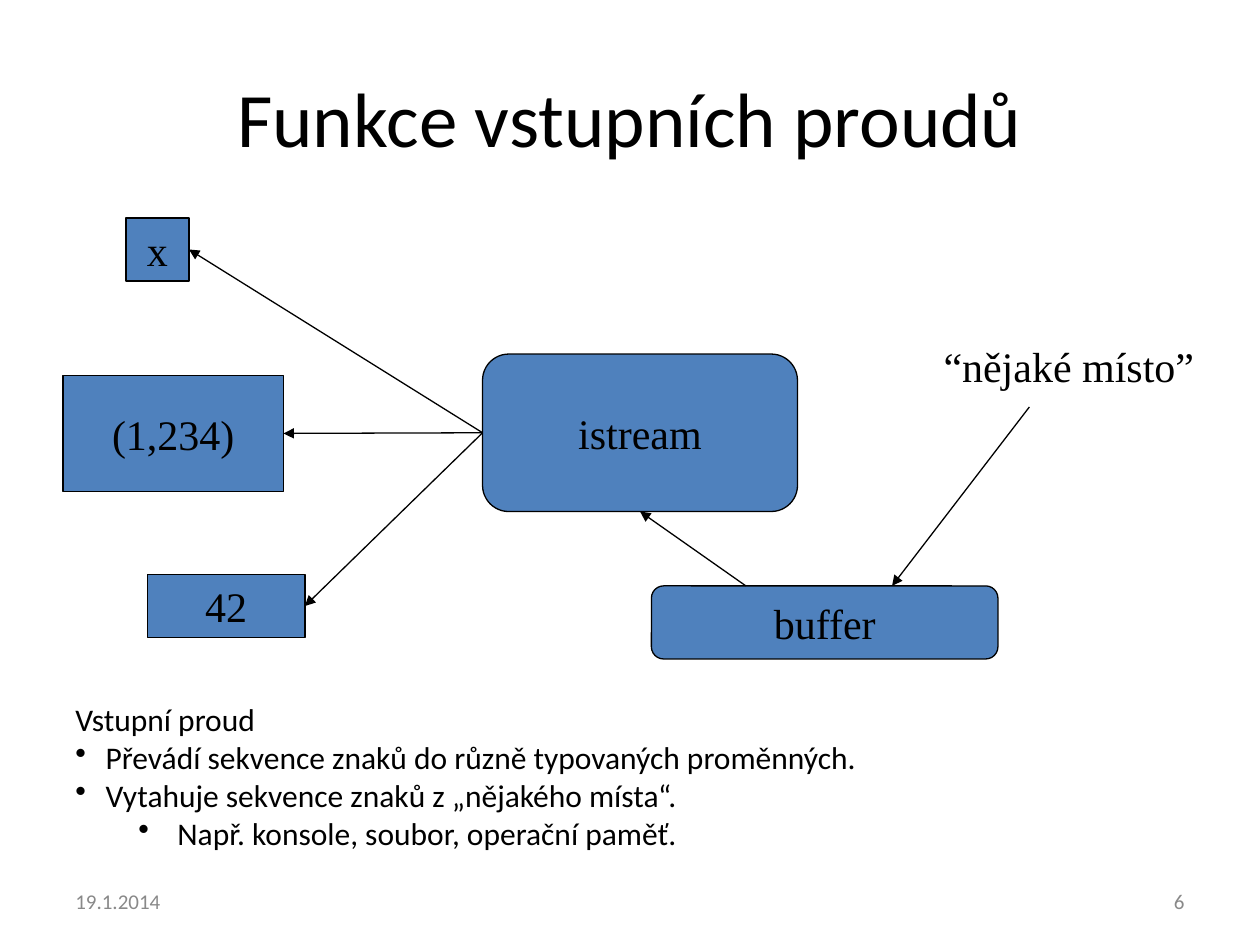
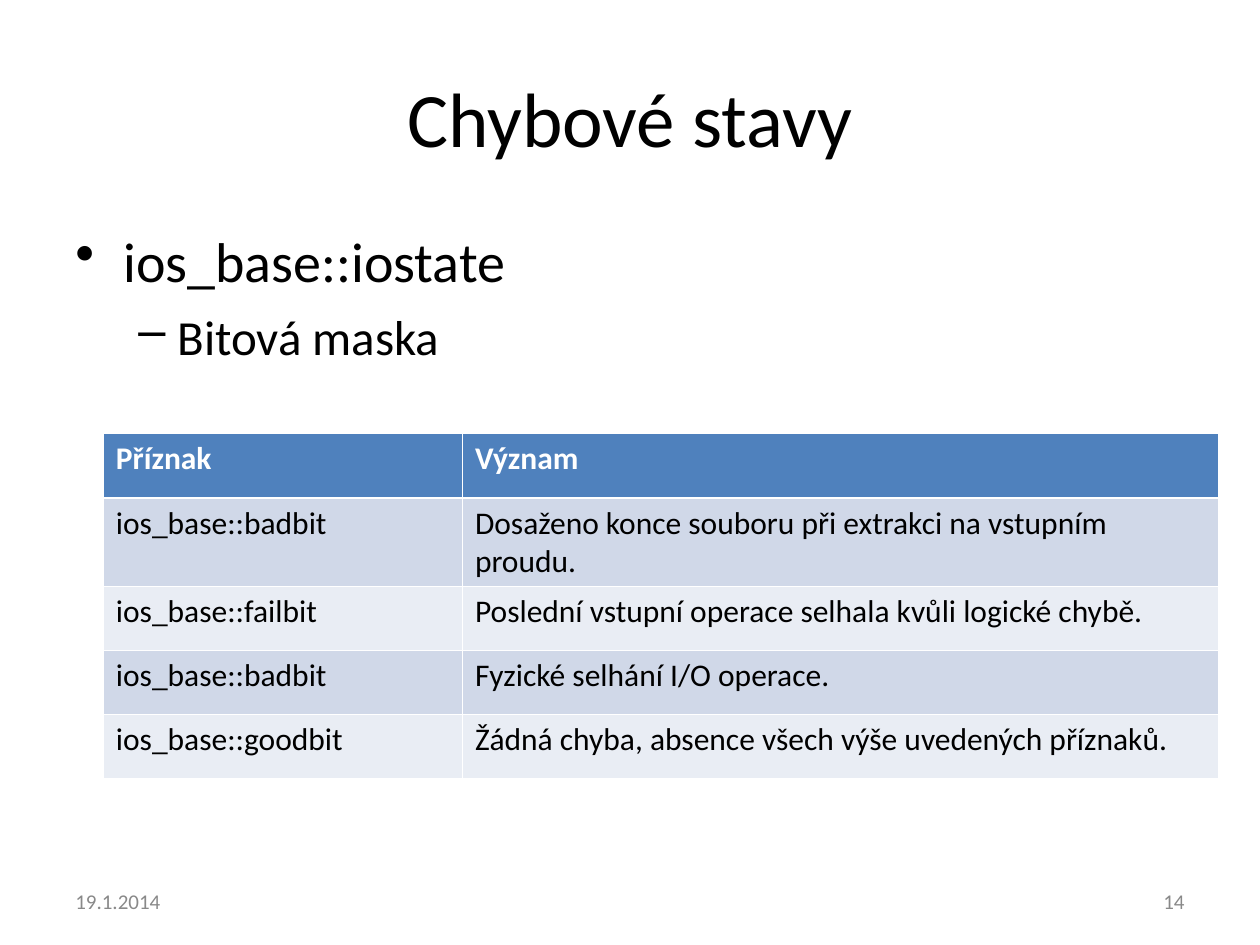
import pptx
import pptx.dml.color
import pptx.enum.shapes
import pptx.enum.text
import pptx.oxml.ns
import pptx.util
from lxml import etree

Inches = pptx.util.Inches
Pt = pptx.util.Pt
qn = pptx.oxml.ns.qn
Shape = pptx.enum.shapes.MSO_SHAPE
Align = pptx.enum.text.PP_ALIGN
Anchor = pptx.enum.text.MSO_ANCHOR

BLACK, WHITE, BLUE, GREY = "000000", "FFFFFF", "4F81BD", "898989"
BANDS = ["D0D8E8", "E9EDF4"]
SANS, SERIF = "Calibri", "Times New Roman"
TOP, LEFT, BOTTOM, RIGHT = range(4)


def rgb(value):
    return pptx.dml.color.RGBColor.from_string(value)


class Deck:
    def __init__(self):
        self.prs = pptx.Presentation()
        self.prs.slide_width = Inches(10)
        self.prs.slide_height = Inches(7.5)
        self.s = None

    def slide(self, title, number):
        self.s = self.prs.slides.add_slide(self.prs.slide_layouts[6])
        self.text(title, 0.5, 0.3, 9, 1.25, 44, align=Align.CENTER, anchor=Anchor.MIDDLE)
        for footer, x, align in (("19.1.2014", 0.5, Align.LEFT), (number, 7.17, Align.RIGHT)):
            self.text(footer, x, 6.95, 2.33, 0.4, 12, color=GREY, align=align, anchor=Anchor.MIDDLE)

    def style(self, p, size, font=SANS, color=BLACK, bold=False, align=Align.LEFT):
        p.alignment = align
        for r in p.runs:
            r.font.size = Pt(size)
            r.font.name = font
            r.font.bold = bold
            r.font.color.rgb = rgb(color)

    def text(self, text, x, y, w, h, size, font=SANS, color=BLACK, align=Align.LEFT, anchor=Anchor.TOP):
        sp = self.s.shapes.add_textbox(Inches(x), Inches(y), Inches(w), Inches(h))
        tf = sp.text_frame
        tf.word_wrap = True
        tf.vertical_anchor = anchor
        tf.text = text
        for p in tf.paragraphs:
            self.style(p, size, font, color, align=align)
        return tf

    def bullet(self, p, char, margin, hanging):
        pPr = p._p.get_or_add_pPr()
        pPr.set("marL", str(Inches(margin)))
        pPr.set("indent", str(-Inches(hanging)))
        etree.SubElement(pPr, qn("a:buChar"), char=char)

    def box(self, text, x, y, w, h, kind=Shape.RECTANGLE):
        sp = self.s.shapes.add_shape(kind, Inches(x), Inches(y), Inches(w), Inches(h))
        sp.shadow.inherit = False
        sp.fill.solid()
        sp.fill.fore_color.rgb = rgb(BLUE)
        sp.line.color.rgb = rgb(BLACK)
        sp.line.width = Pt(0.75)
        tf = sp.text_frame
        tf.word_wrap = False
        tf.vertical_anchor = Anchor.MIDDLE
        tf.text = text
        self.style(tf.paragraphs[0], 24, SERIF, align=Align.CENTER)
        return sp

    def arrow(self, x1=0, y1=0, x2=0, y2=0, source=None, target=None):
        line = self.s.shapes.add_connector(
            pptx.enum.shapes.MSO_CONNECTOR.STRAIGHT, Inches(x1), Inches(y1), Inches(x2), Inches(y2))
        if source:
            line.begin_connect(*source)
        if target:
            line.end_connect(*target)
        line.line.color.rgb = rgb(BLACK)
        line.line.width = Pt(0.75)
        etree.SubElement(line.line._get_or_add_ln(), qn("a:tailEnd"), type="triangle")
        etree.SubElement(line._element.spPr, qn("a:effectLst"))

    def border(self, cell, side, width):
        ln = etree.SubElement(cell._tc.get_or_add_tcPr(), qn("a:ln" + side), w=str(Pt(width)))
        fill = etree.SubElement(ln, qn("a:solidFill"))
        etree.SubElement(fill, qn("a:srgbClr"), val=WHITE)

    def table(self, rows, x, y, widths, heights):
        frame = self.s.shapes.add_table(
            len(rows), len(widths), Inches(x), Inches(y), Inches(sum(widths)), Inches(sum(heights)))
        table = frame.table
        for column, width in zip(table.columns, widths):
            column.width = Inches(width)
        for i, (texts, height) in enumerate(zip(rows, heights)):
            table.rows[i].height = Inches(height)
            header = i == 0
            for j, text in enumerate(texts):
                cell = table.cell(i, j)
                cell.text = text
                self.style(cell.text_frame.paragraphs[0], 18, color=WHITE if header else BLACK, bold=header)
                thick = {"B": 0, "T": 1}
                for side in "LRTB":
                    self.border(cell, side, 1.47 if thick.get(side) == i else 0.45)
                cell.fill.solid()
                cell.fill.fore_color.rgb = rgb(BLUE if header else BANDS[(i - 1) % 2])


def stream_slide(deck):
    deck.slide("Funkce vstupních proudů", "6")
    variables = [
        deck.box("x", 1, 1.73, 0.5, 0.5),
        deck.box("(1,234)", 0.5, 2.98, 1.75, 0.92),
        deck.box("42", 1.17, 4.56, 1.25, 0.5),
    ]
    istream = deck.box("istream", 3.83, 2.81, 2.5, 1.25, Shape.ROUNDED_RECTANGLE)
    deck.box("buffer", 5.17, 4.65, 2.75, 0.58, Shape.ROUNDED_RECTANGLE)
    for variable in variables:
        deck.arrow(source=(istream, LEFT), target=(variable, RIGHT))
    deck.arrow(5.92, 4.65, target=(istream, BOTTOM))
    deck.arrow(8.17, 3.23, 7.08, 4.65)
    place = deck.text("“nějaké místo”", 7.39, 2.65, 2.2, 0.5, 24, SERIF)
    place.paragraphs[0].space_before = Pt(15)
    place.word_wrap = False

    lines = [
        "Vstupní proud",
        "Převádí sekvence znaků do různě typovaných proměnných.",
        "Vytahuje sekvence znaků z „nějakého místa“.",
        "Např. konsole, soubor, operační paměť.",
    ]
    notes = deck.text("\n".join(lines), 0.5, 5.51, 9.08, 1.3, 18).paragraphs
    for p in notes[1:3]:
        deck.bullet(p, "•", 0.24, 0.24)
    notes[3].level = 1
    deck.bullet(notes[3], "•", 0.81, 0.31)


def states_slide(deck):
    deck.slide("Chybové stavy", "14")
    state, mask = deck.text("ios_base::iostate\nBitová maska", 0.5, 1.75, 9, 4.95, 32).paragraphs
    deck.bullet(state, "•", 0.38, 0.38)
    state.space_before = Pt(8)
    deck.style(mask, 28)
    mask.level = 1
    deck.bullet(mask, "–", 0.81, 0.31)
    mask.space_before = Pt(7)
    flags = [
        ("Příznak", "Význam"),
        ("ios_base::badbit", "Dosaženo konce souboru při extrakci na vstupním proudu."),
        ("ios_base::failbit", "Poslední vstupní operace selhala kvůli logické chybě."),
        ("ios_base::badbit", "Fyzické selhání I/O operace."),
        ("ios_base::goodbit", "Žádná chyba, absence všech výše uvedených příznaků."),
    ]
    deck.table(flags, 0.82, 3.44, [2.85, 6], [0.51, 0.7, 0.51, 0.51, 0.51])


def main():
    deck = Deck()
    stream_slide(deck)
    states_slide(deck)
    deck.prs.save("out.pptx")


if __name__ == "__main__":
    main()
